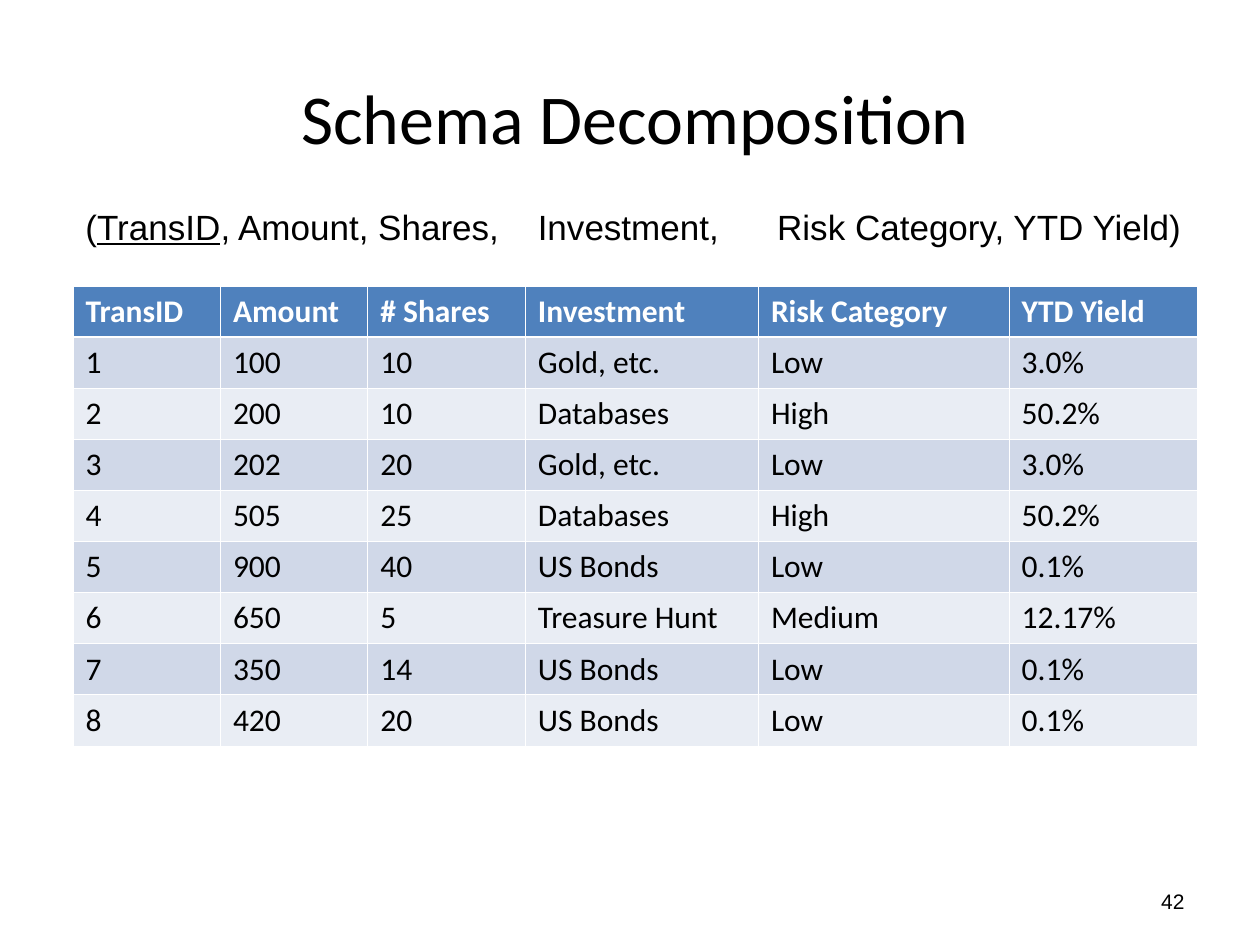
from dataclasses import dataclass

from lxml import etree
from pptx import Presentation
from pptx.dml.color import RGBColor
from pptx.enum.text import MSO_ANCHOR, PP_ALIGN
from pptx.oxml.ns import qn
from pptx.util import Inches, Pt

LEFT, CENTER, RIGHT = PP_ALIGN.LEFT, PP_ALIGN.CENTER, PP_ALIGN.RIGHT
TOP, MIDDLE = MSO_ANCHOR.TOP, MSO_ANCHOR.MIDDLE
BLACK, WHITE = "000000", "FFFFFF"
HEADER_FILL, BAND_FILLS = "4F81BD", ("D0D8E8", "E9EDF4")
THIN_RULE, HEADER_RULE = 0.45, 1.47


@dataclass(frozen=True)
class Font:
    name: str
    size: float
    color: str = BLACK
    bold: bool = False


@dataclass(frozen=True)
class Column:
    heading: str
    width: float


COLUMNS = [
    Column("TransID", 1.17),
    Column("Amount", 1.17),
    Column("# Shares", 1.25),
    Column("Investment", 1.85),
    Column("Risk Category", 1.99),
    Column("YTD Yield", 1.49),
]
# Risk category and yield depend on the investment alone.
INVESTMENTS = {
    "Gold, etc.": ("Low", "3.0%"),
    "Databases": ("High", "50.2%"),
    "US Bonds": ("Low", "0.1%"),
    "Treasure Hunt": ("Medium", "12.17%"),
}
TRANSACTIONS = [
    (100, 10, "Gold, etc."),
    (200, 10, "Databases"),
    (202, 20, "Gold, etc."),
    (505, 25, "Databases"),
    (900, 40, "US Bonds"),
    (650, 5, "Treasure Hunt"),
    (350, 14, "US Bonds"),
    (420, 20, "US Bonds"),
]
TABLE_LEFT, TABLE_TOP, TABLE_HEIGHT = 0.58, 2.27, 3.65


def rgb(color: str) -> RGBColor:
    return RGBColor.from_string(color)


def add_run(paragraph, text: str, font: Font, underline: bool = False) -> None:
    run = paragraph.add_run()
    run.text = text
    run.font.name, run.font.size = font.name, Pt(font.size)
    run.font.bold, run.font.underline = font.bold, underline
    run.font.color.rgb = rgb(font.color)


def place(shape, left: float, top: float, width: float, height: float) -> None:
    shape.left, shape.top = Inches(left), Inches(top)
    shape.width, shape.height = Inches(width), Inches(height)


def set_up_text(shape, align, anchor):
    """Wrap and align the shape's text and return its first paragraph."""
    frame = shape.text_frame
    frame.word_wrap, frame.vertical_anchor = True, anchor
    frame.paragraphs[0].alignment = align
    return frame.paragraphs[0]


def add_textbox(slide, left, top, width, height, align=LEFT, anchor=TOP):
    box = slide.shapes.add_textbox(*map(Inches, (left, top, width, height)))
    return set_up_text(box, align, anchor)


def add_tabs(paragraph, positions: list[float]) -> None:
    tabs = etree.SubElement(paragraph._p.get_or_add_pPr(), qn("a:tabLst"))
    for position in positions:
        etree.SubElement(tabs, qn("a:tab"), pos=str(Inches(position)), algn="l")


def set_borders(cell, top: float, bottom: float) -> None:
    properties = cell._tc.get_or_add_tcPr()
    widths = {"lnL": THIN_RULE, "lnR": THIN_RULE, "lnT": top, "lnB": bottom}
    for side, width in widths.items():
        line = etree.SubElement(properties, qn(f"a:{side}"), w=str(Pt(width)))
        fill = etree.SubElement(line, qn("a:solidFill"))
        etree.SubElement(fill, qn("a:srgbClr"), val=WHITE)


def add_transactions(slide) -> None:
    rows = [[column.heading for column in COLUMNS]]
    for number, (amount, shares, investment) in enumerate(TRANSACTIONS, start=1):
        rows.append([number, amount, shares, investment, *INVESTMENTS[investment]])

    width = sum(column.width for column in COLUMNS)
    table = slide.shapes.add_table(
        len(rows), len(COLUMNS), Inches(TABLE_LEFT), Inches(TABLE_TOP),
        Inches(width), Inches(TABLE_HEIGHT)).table
    for table_column, column in zip(table.columns, COLUMNS):
        table_column.width = Inches(column.width)

    for r, values in enumerate(rows):
        header = r == 0
        font = Font("Calibri", 18, WHITE if header else BLACK, header)
        for c, value in enumerate(values):
            cell = table.cell(r, c)
            set_borders(cell, HEADER_RULE if r == 1 else THIN_RULE,
                        HEADER_RULE if header else THIN_RULE)
            cell.fill.solid()
            cell.fill.fore_color.rgb = rgb(
                HEADER_FILL if header else BAND_FILLS[(r - 1) % 2])
            add_run(cell.text_frame.paragraphs[0], str(value), font)


def main() -> None:
    presentation = Presentation()
    presentation.slide_width, presentation.slide_height = Inches(10), Inches(7.5)
    slide = presentation.slides.add_slide(presentation.slide_layouts[5])

    title = slide.shapes.title
    place(title, 0.25, 0.3, 9.58, 1.25)
    add_run(set_up_text(title, CENTER, MIDDLE), "Schema Decomposition",
            Font("Calibri", 40))

    page_number = add_textbox(slide, 7.17, 6.95, 2.33, 0.4, RIGHT, MIDDLE)
    add_run(page_number, "42", Font("Arial", 12))

    add_transactions(slide)

    schema = add_textbox(slide, TABLE_LEFT, 1.58, 9, 0.44)
    add_tabs(schema, [3.59, 5.49])
    schema_font = Font("Arial", 20)
    add_run(schema, "(", schema_font)
    add_run(schema, "TransID", schema_font, underline=True)
    add_run(schema, ", Amount, Shares,\tInvestment,\tRisk Category, YTD Yield)",
            schema_font)

    presentation.save("out.pptx")


if __name__ == "__main__":
    main()
